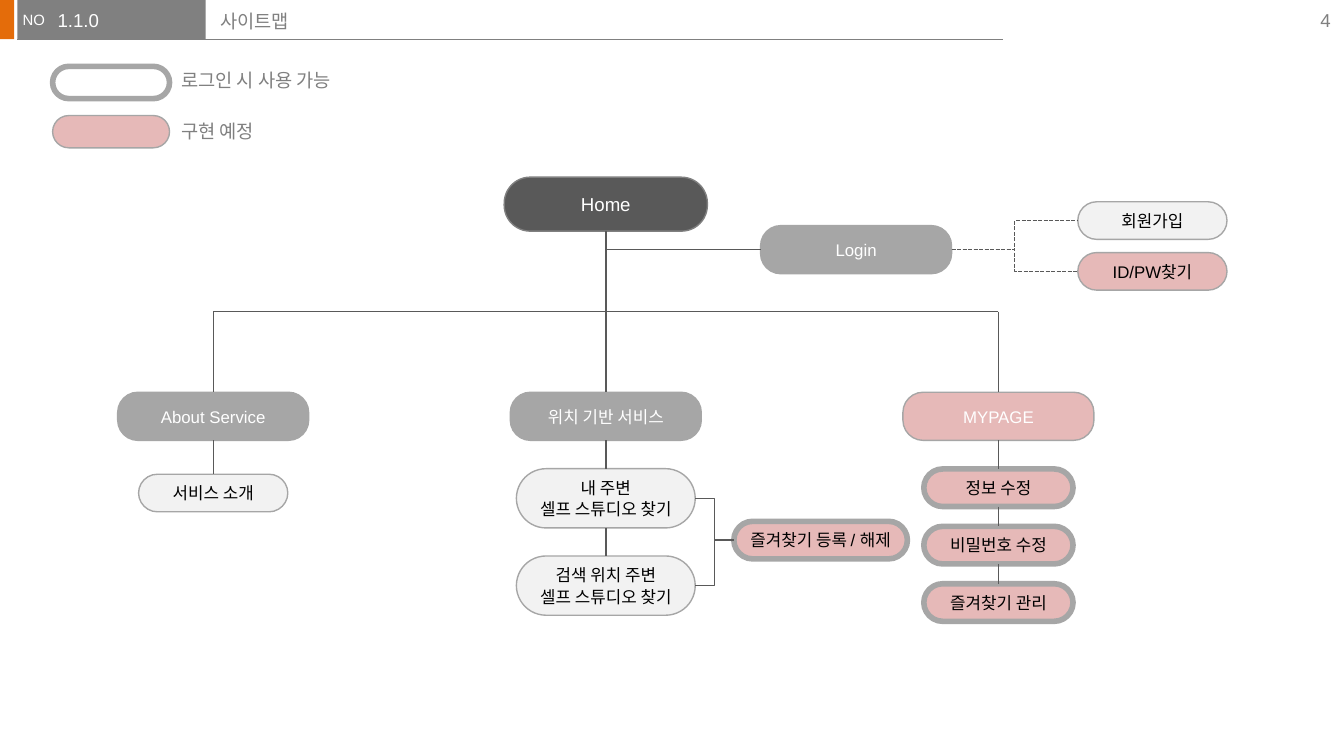
from lxml import etree
from pptx import Presentation
from pptx.dml.color import RGBColor as Rgb
from pptx.enum.dml import MSO_LINE as Dash
from pptx.enum.shapes import MSO_CONNECTOR as Link, MSO_SHAPE as Shape
from pptx.enum.text import MSO_ANCHOR as Anchor, PP_ALIGN as Align
from pptx.oxml.ns import qn
from pptx.util import Cm, Pt

COLORS = {
    "orange": "E46C0A", "gray": "808080", "dark": "595959", "mid": "A6A6A6",
    "light": "F2F2F2", "pink": "E6B9B8", "white": "FFFFFF", "black": "000000",
}
ABOUT_X, CENTER_X, MYPAGE_X = (11.45 + step * 7.42 for step in (-1, 0, 1))
MENU_Y = 7.87
MYPAGE_YS = [9.22 + row * 1.085 for row in range(3)]

STYLES = {
    "home": (3.84, 1.02, 0.48, 10),
    "menu": (3.61, 0.91, 0.42, 9),
    "leaf": (2.82, 0.71, 0.5, 9),
    "wide": (3.38, 1.12, 0.5, 9),
    "long": (3.28, 0.71, 0.5, 9),
    "key": (2.21, 0.61, 0.5, 9),
}
NODES = {
    "home": ("home", CENTER_X, 3.86, "dark", "gray", "white", 0.75, ["Home"]),
    "login": ("menu", 16.18, 4.72, "mid", "mid", "white", 0.75, ["Login"]),
    "join": ("leaf", 21.78, 4.17, "light", "mid", "black", 0.75, ["회원가입"]),
    "find": ("leaf", 21.78, 5.13, "pink", "mid", "black", 0.75, ["ID/PW찾기"]),
    "about": ("menu", ABOUT_X, MENU_Y, "mid", "mid", "white", 0.75, ["About Service"]),
    "intro": ("leaf", ABOUT_X, 9.32, "light", "mid", "black", 0.75, ["서비스 소개"]),
    "location": ("menu", CENTER_X, MENU_Y, "mid", "mid", "white", 0.75, ["위치 기반 서비스"]),
    "nearby": ("wide", CENTER_X, 9.42, "light", "mid", "black", 0.75,
               ["내 주변", "셀프 스튜디오 찾기"]),
    "search": ("wide", CENTER_X, 11.07, "light", "mid", "black", 0.75,
               ["검색 위치 주변", "셀프 스튜디오 찾기"]),
    "bookmark": ("long", 15.51, 10.21, "pink", "mid", "black", 3, ["즐겨찾기 등록 / 해제"]),
    "mypage": ("menu", MYPAGE_X, MENU_Y, "pink", "mid", "white", 0.75, ["MYPAGE"]),
    "profile": ("leaf", MYPAGE_X, MYPAGE_YS[0], "pink", "mid", "black", 3, ["정보 수정"]),
    "password": ("leaf", MYPAGE_X, MYPAGE_YS[1], "pink", "mid", "black", 3, ["비밀번호 수정"]),
    "saved": ("leaf", MYPAGE_X, MYPAGE_YS[2], "pink", "mid", "black", 3, ["즐겨찾기 관리"]),
    "login_key": ("key", 2.1, 1.56, "white", "mid", "black", 3, []),
    "planned_key": ("key", 2.1, 2.49, "pink", "mid", "black", 0.75, []),
}
CHAINS = [
    ["home", "location", "nearby", "search"],
    ["about", "intro"],
    ["mypage", "profile", "password", "saved"],
]
BRANCHES = [
    ("login", "join", True), ("login", "find", True),
    ("nearby", "bookmark", False), ("search", "bookmark", False),
]
BANDS = [(-0.03, 0.3, "orange"), (0.33, 3.56, "gray")]
BAND_HEIGHT = 0.74
LABELS = [
    ("NO.", 0.18, 0.08, 0.97, 0.61, 8, "white", 0.25, Align.LEFT, Anchor.TOP),
    ("1.1.0", 1.09, 0.03, 2.79, 0.79, 10, "white", 0, Align.LEFT, Anchor.TOP),
    ("사이트맵", 3.91, 0.05, 15.01, 0.81, 10, "gray", 0.25, Align.LEFT, Anchor.TOP),
    ("4", 23.88, 0, 1.52, 0.76, 10, "gray", 0.25, Align.RIGHT, Anchor.MIDDLE),
    ("로그인 시 사용 가능", 3.18, 1.17, 15.01, 0.81, 10, "gray", 0.25, Align.LEFT, Anchor.TOP),
    ("구현 예정", 3.18, 2.13, 15.01, 0.81, 10, "gray", 0.25, Align.LEFT, Anchor.TOP),
]
TOP, LEFT, BOTTOM, RIGHT = range(4)

deck = Presentation()
deck.slide_width, deck.slide_height = Cm(25.4), Cm(14.29)
page = deck.slides.add_slide(deck.slide_layouts[6])


def color(name):
    return Rgb.from_string(COLORS[name])


def write(para, text, size, tint, align):
    para.alignment = align
    span = para.add_run()
    span.text = text
    span.font.name, span.font.size = "Arial", Pt(size)
    span.font.color.rgb = color(tint)


def set_frame(frame, side, edge, anchor):
    frame.word_wrap = True
    frame.margin_left = frame.margin_right = Cm(side)
    frame.margin_top = frame.margin_bottom = Cm(edge)
    frame.vertical_anchor = anchor


def add_label(text, x, y, width, height, size, tint, side, align, anchor):
    frame = page.shapes.add_textbox(Cm(x), Cm(y), Cm(width), Cm(height)).text_frame
    set_frame(frame, side, 0.13, anchor)
    frame.word_wrap = text != "NO."
    write(frame.paragraphs[0], text, size, tint, align)


def add_node(style, x, y, fill, edge, tint, weight, lines):
    width, height, corner, size = STYLES[style]
    box = page.shapes.add_shape(Shape.ROUNDED_RECTANGLE, Cm(x - width / 2),
                                Cm(y - height / 2), Cm(width), Cm(height))
    box.adjustments[0] = corner
    box.shadow.inherit = False
    box.fill.solid()
    box.fill.fore_color.rgb = color(fill)
    box.line.color.rgb, box.line.width = color(edge), Pt(weight)
    set_frame(box.text_frame, 0.05, 0.05, Anchor.MIDDLE)
    for index, text in enumerate(lines):
        para = box.text_frame.add_paragraph() if index else box.text_frame.paragraphs[0]
        if index:
            para.space_before = Pt(0.9)
        write(para, text, size, tint, Align.CENTER)
    return box


def add_line(start=(0, 0), end=(0, 0), kind=Link.STRAIGHT, tint="dark", weight=0.75):
    line = page.shapes.add_connector(kind, *(Cm(value) for value in (*start, *end)))
    line.line.color.rgb, line.line.width = color(tint), Pt(weight)
    etree.SubElement(line._element.spPr, qn("a:effectLst"))
    return line


def join(first, first_side, second, second_side, kind=Link.STRAIGHT):
    line = add_line(kind=kind)
    line.begin_connect(first, first_side)
    line.end_connect(second, second_side)
    return line


for x, width, fill in BANDS:
    band = page.shapes.add_shape(Shape.RECTANGLE, Cm(x), 0, Cm(width), Cm(BAND_HEIGHT))
    band.shadow.inherit = False
    band.fill.solid()
    band.fill.fore_color.rgb = color(fill)
    band.line.fill.background()
add_line((0.33, BAND_HEIGHT), (18.95, BAND_HEIGHT), tint="gray", weight=0.5)
for label in LABELS:
    add_label(*label)

boxes = {name: add_node(*node) for name, node in NODES.items()}

for chain in CHAINS:
    for upper, lower in zip(chain, chain[1:]):
        join(boxes[upper], BOTTOM, boxes[lower], TOP)
for source, target, dashed in BRANCHES:
    branch = join(boxes[source], RIGHT, boxes[target], LEFT, Link.ELBOW)
    if dashed:
        branch.line.dash_style = Dash.SQUARE_DOT

login_y = NODES["login"][2]
add_line((CENTER_X, login_y), (boxes["login"].left.cm, login_y))
home, menu_top = boxes["home"], boxes["about"].top.cm
rail_y = (home.top.cm + home.height.cm + menu_top) / 2
add_line((ABOUT_X, rail_y), (MYPAGE_X, rail_y))
for x in (ABOUT_X, MYPAGE_X):
    add_line((x, rail_y), (x, menu_top))

deck.save("out.pptx")
